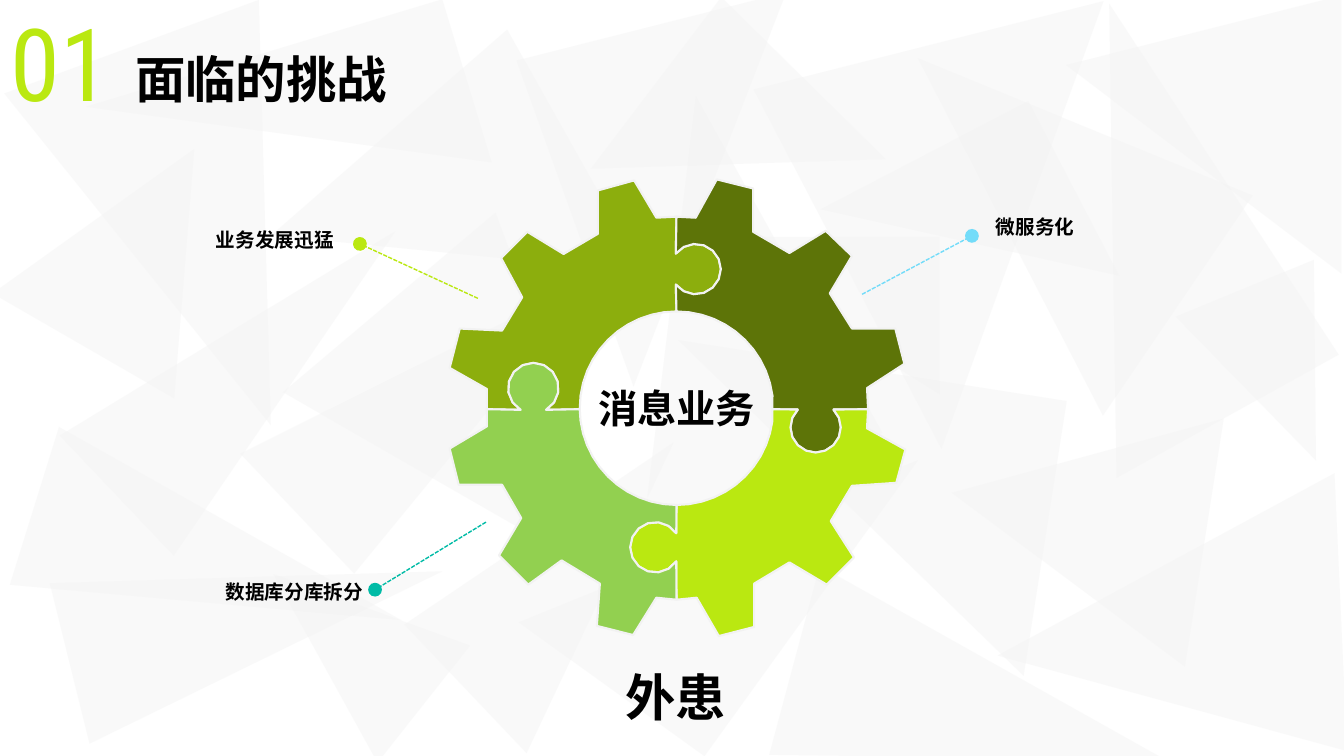
from math import cos, radians, sin

from lxml.etree import SubElement
from pptx import Presentation
from pptx.dml.color import RGBColor
from pptx.enum.dml import MSO_LINE
from pptx.enum.lang import MSO_LANGUAGE_ID
from pptx.enum.shapes import MSO_CONNECTOR, MSO_SHAPE
from pptx.enum.text import MSO_ANCHOR, MSO_AUTO_SIZE, PP_ALIGN
from pptx.oxml.ns import qn
from pptx.util import Inches, Pt

COLORS = {
    "black": "000000", "pale": "F2F2F2", "lime": "BAE811", "olive": "8CAE0D",
    "moss": "5D7408", "green": "92D050", "sky": "73DCF9", "teal": "00BBA6",
}

TRIANGLES = [
    (1.34, 3.68, 1.64, 3.81, 107.3, 0.5),
    (1.72, 4.22, 1.64, 3.81, 76.1, 0.5),
    (0.65, 0.34, 2.69, 4, 159.8, 0.5),
    (1.72, 1.7, 1.64, 3.81, 46.5, 0.5),
    (4.89, 4.15, 1.76, 3.18, 46.5, 0.3),
    (3.71, 2.55, 2.76, 3.81, 139.8, 0.5),
    (9.44, 3.91, 2.49, 2.55, 278.9, 0.54),
    (7.06, 3.09, 2.76, 3.9, 278.9, 1),
    (5.99, 3.56, 2.27, 3.62, 35.8, 1),
    (9.91, 0.24, 2.52, 4.15, 331, 0.88),
    (5.24, 1.39, 2.76, 3.81, 331, 1),
    (6.08, 0.47, 2.29, 2.12, 224.6, 0.88),
    (7.9, 0.39, 3.58, 3.91, 165.8, 0.74),
    (5.5, 0.21, 2.76, 3.42, 165.8, 0.88),
    (3, 0.72, 2.76, 3.04, 240.7, 0.77),
    (10.21, 4.44, 2.76, 3.42, 267.4, 0.4),
    (7.29, 1.88, 1.56, 2.5, 270, 1),
    (-0.35, 1.7, 2.48, 1.88, 274.6, 0.36),
    (2.02, -0.51, 1.69, 3.69, 253.2, 1),
    (10.56, -0.03, 2.76, 2.73, 270, 0.75),
    (3.51, 1.88, 1.64, 3.81, 46.5, 0.71),
    (8.75, 5.14, 1.94, 3.81, 105, 0.5),
    (11.96, 2.79, 1.48, 1.85, 157.6, 0.5),
    (2.69, 5.39, 1.48, 1.97, 308.3, 0.56),
    (8.91, 0.29, 2.64, 3.51, 304.2, 0.72),
    (8.46, 1.43, 2.32, 1.95, 152.5, 0),
]

HUB_CENTER, HUB_RADIUS, KNOB_RADIUS = (6.71, 4.05), 0.96, 0.25

SEAMS = [
    ((5.75, 4.06), (5.29, 3.85), 150, (4.83, 4.06)),
    ((6.71, 3.09), (6.9, 2.67), 142, (6.71, 2.15)),
    ((7.66, 4.06), (8.09, 4.24), 135, (8.61, 4.06)),
    ((6.71, 5.01), (6.5, 5.43), 146, (6.71, 5.95)),
]

QUARTERS = [
    ("olive", [(4.83, 3.86), (4.46, 3.65), (4.56, 3.26), (4.98, 3.28),
               (5.18, 2.95), (4.97, 2.56), (5.23, 2.3), (5.59, 2.52),
               (5.93, 2.32), (5.93, 1.89), (6.29, 1.79), (6.51, 2.16)]),
    ("moss", [(6.9, 2.16), (7.11, 1.78), (7.47, 1.87), (7.47, 2.3),
              (7.83, 2.51), (8.19, 2.29), (8.45, 2.54), (8.23, 2.91),
              (8.45, 3.26), (8.88, 3.26), (8.97, 3.61), (8.6, 3.85)]),
    ("lime", [(8.6, 4.25), (8.98, 4.46), (8.89, 4.79), (8.45, 4.82),
              (8.24, 5.17), (8.47, 5.53), (8.2, 5.8), (7.83, 5.58),
              (7.48, 5.79), (7.48, 6.22), (7.13, 6.31), (6.91, 5.93)]),
    ("green", [(6.51, 5.93), (6.28, 6.3), (5.92, 6.21), (5.95, 5.79),
               (5.57, 5.56), (5.24, 5.8), (4.95, 5.51), (5.17, 5.14),
               (4.98, 4.81), (4.55, 4.81), (4.46, 4.45), (4.83, 4.23)]),
]

POINTERS = [
    ((8.55, 2.92), (9.64, 2.34), "sky"),
    ((4.82, 5.18), (3.72, 5.85), "teal"),
    ((4.74, 2.96), (3.57, 2.42), "lime"),
]

GEAR_LABELS = [
    ("消息业务", (5.8, 3.6, 1.82, 0.9), 28, PP_ALIGN.CENTER, -20),
    ("业务发展迅猛", (0.73, 2.2, 2.68, 0.35), 14, PP_ALIGN.RIGHT),
    ("微服务化", (9.78, 2.07, 2.87, 0.35), 14, PP_ALIGN.LEFT),
    ("数据库分库拆分", (2.14, 5.69, 2.87, 0.35), 14, PP_ALIGN.LEFT),
]


def color(name):
    """Return the named colour."""
    return RGBColor.from_string(COLORS[name])


def arc(center, radius, start, end, steps=12):
    """Return points along a circle between two angles in degrees."""
    angles = [radians(start + (end - start) * step / steps) for step in range(steps + 1)]
    return [(center[0] + radius * cos(angle), center[1] + radius * sin(angle)) for angle in angles]


def seam_points(index):
    """Return the puzzle seam at a quarter turn, from hub to rim."""
    inner, knob, sweep, outer = SEAMS[index % 4]
    facing = 90 * (index - 1)
    return [inner, *arc(knob, KNOB_RADIUS, facing + sweep, facing - sweep), outer]


def add_triangle(shapes, left, top, width, height, rotation, apex):
    """Add one translucent background triangle."""
    shape = shapes.add_shape(
        MSO_SHAPE.ISOSCELES_TRIANGLE, Inches(left), Inches(top), Inches(width), Inches(height))
    shape.rotation = rotation
    shape.adjustments[0] = apex
    shape.shadow.inherit = False
    shape.fill.solid()
    shape.fill.fore_color.rgb = color("pale")
    shape.line.fill.background()
    fill_color = shape.element.spPr.find(qn("a:solidFill")).find(qn("a:srgbClr"))
    SubElement(fill_color, qn("a:alpha"), val="42000")


def add_background(slide):
    """Put the triangles on the slide layout as one group."""
    group = slide.shapes.add_group_shape()
    for triangle in TRIANGLES:
        add_triangle(group.shapes, *triangle)
    for number, properties in enumerate(group.element.iter(qn("p:cNvPr")), 100):
        properties.set("id", str(number))
    slide.slide_layout.placeholders[0].element.addprevious(group.element)


def add_gear_quarter(shapes, index, fill, teeth):
    """Add one interlocking quarter of the gear."""
    hub = arc(HUB_CENTER, HUB_RADIUS, 90 * (index - 1), 90 * (index - 2))
    outline = [*seam_points(index), *teeth, *reversed(seam_points(index + 1)), *hub[1:-1]]
    points = [(Inches(x), Inches(y)) for x, y in outline]
    builder = shapes.build_freeform(*points[0])
    builder.add_line_segments(points[1:], close=True)
    shape = builder.convert_to_shape()
    shape.shadow.inherit = False
    shape.fill.solid()
    shape.fill.fore_color.rgb = color(fill)
    shape.line.color.rgb = color("pale")
    shape.line.width = Pt(1.5)


def add_pointer(shapes, start, end, line_color):
    """Add a dashed line that ends in a dot."""
    connector = shapes.add_connector(
        MSO_CONNECTOR.STRAIGHT, *(Inches(value) for value in (*start, *end)))
    connector.line.color.rgb = color(line_color)
    connector.line.width = Pt(1)
    connector.line.dash_style = MSO_LINE.SQUARE_DOT
    properties = connector.element.spPr
    SubElement(properties.find(qn("a:ln")), qn("a:tailEnd"), type="oval", w="lg", len="lg")
    SubElement(properties, qn("a:effectLst"))


def write_text(shape, text, size, alignment, spacing=0, font="Arial", fill="black", bold=True,
               anchor=MSO_ANCHOR.MIDDLE, margins=(0.1, 0.05)):
    """Write one formatted run into a text shape."""
    frame = shape.text_frame
    frame.word_wrap = False
    frame.auto_size = MSO_AUTO_SIZE.NONE
    frame.vertical_anchor = anchor
    frame.margin_left = frame.margin_right = Inches(margins[0])
    frame.margin_top = frame.margin_bottom = Inches(margins[1])
    paragraph = frame.paragraphs[0]
    paragraph.alignment = alignment
    run = paragraph.add_run()
    run.text = text
    run.font.name = font
    run.font.size = Pt(size)
    run.font.bold = bold
    run.font.color.rgb = color(fill)
    run.font.language_id = MSO_LANGUAGE_ID.SIMPLIFIED_CHINESE
    if spacing:
        run.font._element.set("spc", str(spacing))
    return paragraph


def add_label(shapes, text, box, size, alignment, spacing=0, **style):
    """Add a text box with one line."""
    shape = shapes.add_textbox(*(Inches(value) for value in box))
    write_text(shape, text, size, alignment, spacing, **style)


def place_title(slide, text):
    """Move and format the title placeholder."""
    title = slide.shapes.title
    title.left, title.top = Inches(1.34), Inches(0.42)
    title.width, title.height = Inches(3.45), Inches(0.8)
    paragraph = write_text(title, text, 36, PP_ALIGN.LEFT, anchor=MSO_ANCHOR.TOP, margins=(0, 0))
    paragraph.line_spacing = 1.1


def main():
    """Build and save the slide."""
    presentation = Presentation()
    presentation.slide_width, presentation.slide_height = Inches(13.33), Inches(7.5)
    slide = presentation.slides.add_slide(presentation.slide_layouts[5])
    add_background(slide)
    place_title(slide, "面临的挑战")
    gear = slide.shapes.add_group_shape().shapes
    for index, (fill, teeth) in enumerate(QUARTERS):
        add_gear_quarter(gear, index, fill, teeth)
    for pointer in POINTERS:
        add_pointer(gear, *pointer)
    for label in GEAR_LABELS:
        add_label(gear, *label)
    add_label(slide.shapes, "外患", (5.7, 6.46, 2, 0.9), 36, PP_ALIGN.CENTER, -20)
    add_label(slide.shapes, "01", (0, 0.01, 1.2, 1.2), 72, PP_ALIGN.CENTER,
              font="Roboto Condensed", fill="lime", bold=False, margins=(0, 0))
    presentation.save("out.pptx")


if __name__ == "__main__":
    main()
